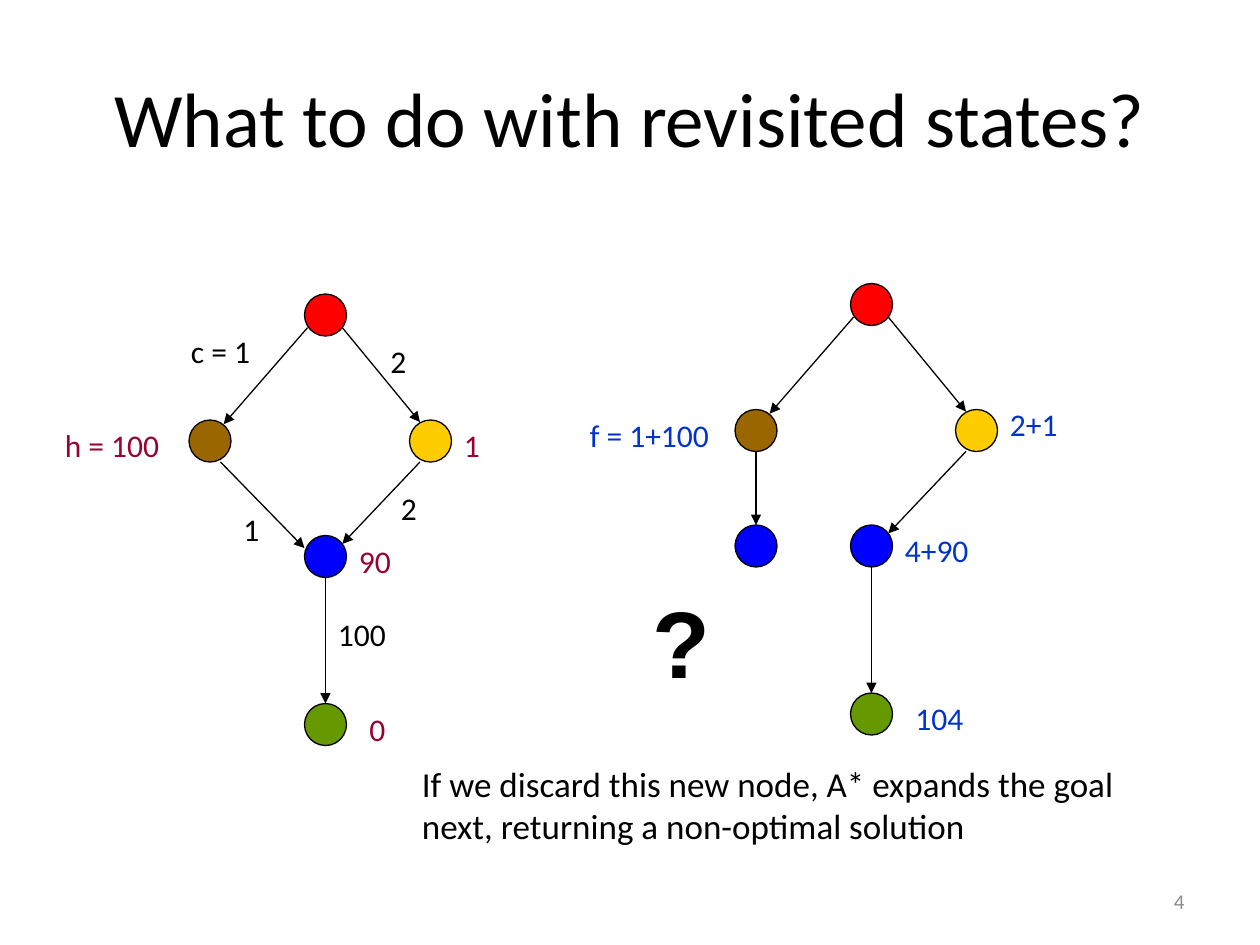
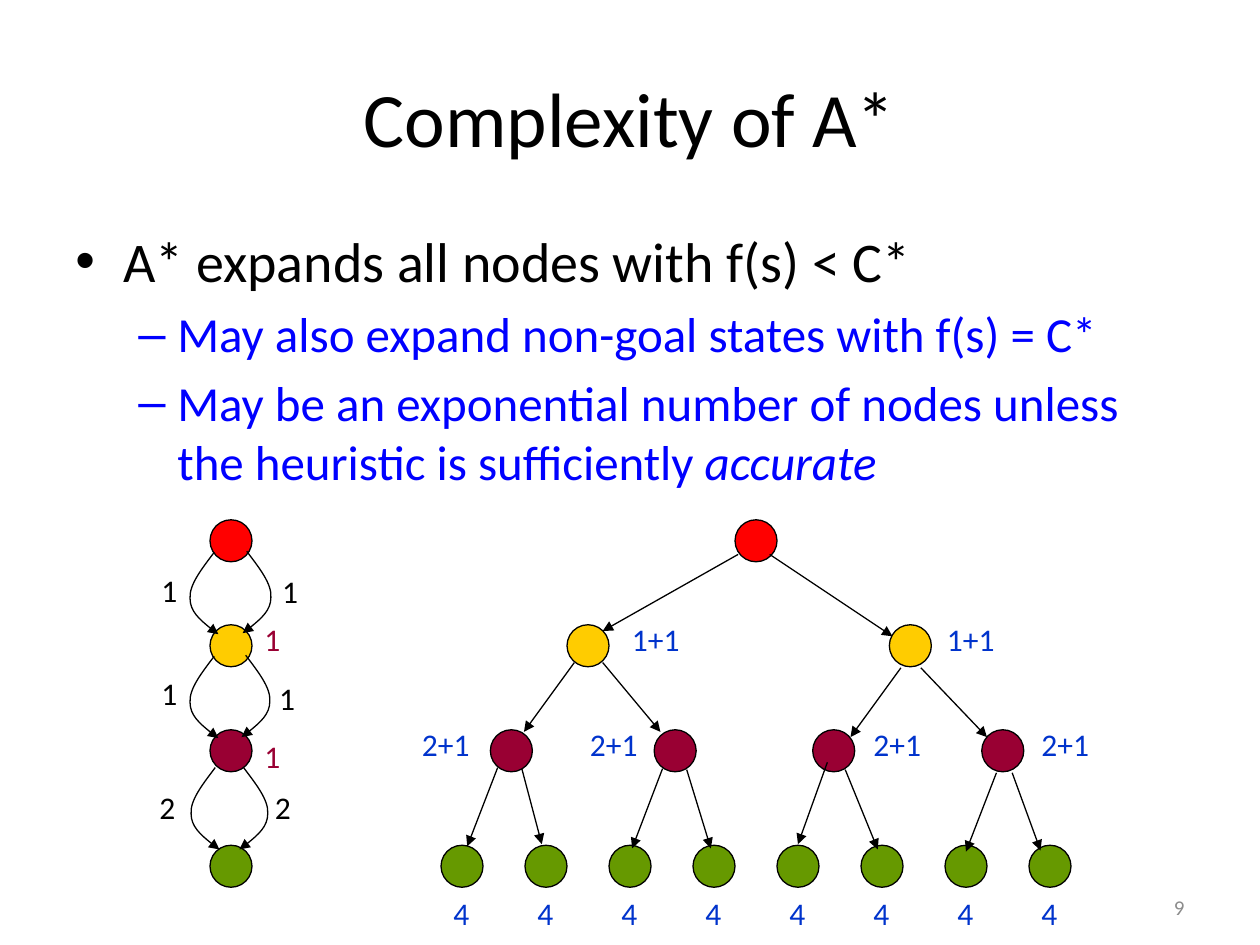
from dataclasses import dataclass

from lxml.etree import SubElement
from pptx import Presentation
from pptx.dml.color import RGBColor
from pptx.enum.shapes import MSO_CONNECTOR, MSO_SHAPE
from pptx.enum.text import MSO_ANCHOR, MSO_AUTO_SIZE, PP_ALIGN
from pptx.oxml.ns import qn
from pptx.util import Inches, Pt


@dataclass(frozen=True)
class Theme:
    font: str = "Calibri"
    mark: str = "Arial"
    ink: str = "000000"
    gray: str = "8C8C8C"
    red: str = "FF0000"
    brown: str = "996600"
    blue: str = "0000FF"
    gold: str = "FFCC00"
    green: str = "669900"
    wine: str = "990033"
    navy: str = "0033CC"
    title: int = 44
    body: int = 32
    sub: int = 28
    note: int = 20
    label: int = 18
    small: int = 12
    huge: int = 54
    line: float = 0.75


T = Theme()
CELL = Inches(1) // 12  # the slide is 120 columns by 90 rows
DOT = 4

deck = Presentation()
deck.slide_width, deck.slide_height = 120 * CELL, 90 * CELL


def write(slide, box, text, size, tint=T.ink, wrap=True, align=PP_ALIGN.LEFT,
          anchor=MSO_ANCHOR.TOP, font=T.font, bold=False):
    """Add a text box; box is left, top, width, height in cells."""
    frame = slide.shapes.add_textbox(*(int(v * CELL) for v in box)).text_frame
    frame.word_wrap = wrap
    frame.vertical_anchor = anchor
    if not wrap:
        frame.auto_size = MSO_AUTO_SIZE.SHAPE_TO_FIT_TEXT
    para = frame.paragraphs[0]
    para.alignment = align
    run = para.add_run()
    run.text = text
    run.font.name, run.font.size, run.font.bold = font, Pt(size), bold
    run.font.color.rgb = RGBColor.from_string(tint)


def tip(shape):
    """Give a line its thin black stroke and end arrow, without shadow."""
    shape.line.color.rgb = RGBColor.from_string(T.ink)
    shape.line.width = Pt(T.line)
    SubElement(shape.line._get_or_add_ln(), qn("a:tailEnd"), type="triangle")
    SubElement(shape._element.spPr, qn("a:effectLst"))


# Search graph on the left; the search tree repeats its top, moved by DX, DY
DX, DY = 52, -1
top = [(29, 28, T.red), (18, 40, T.brown), (39, 40, T.gold),
       (29, 51, T.blue), (29, 67, T.green)]
links = [(29.3, 31.2, 21.3, 40.4), (32.6, 31.2, 40, 40.2),
         (40, 44, 32.6, 51.8), (31, 55, 31, 67)]

revisit = dict(
    title="What to do with revisited states?", page="4", row=83.4,
    dots=top + [(x + DX, y + DY, c) for x, y, c in top] + [(70, 50, T.blue)],
    edges=links + [(a + DX, b + DY, c + DX, d + DY) for a, b, c, d in links]
    + [(21, 44, 29, 52.2), (72, 43, 72, 50)],
    labels=[
        (T.ink, [(17, 31, "c = 1"), (31, 58, "100"), (37, 46, "2"),
                 (22, 48, "1"), (36, 32, "2")]),
        (T.wine, [(5, 40, "h = 100"), (34, 67, "0"), (33, 51, "90"),
                  (43, 40, "1")]),
        (T.navy, [(86, 66, "104"), (85, 50, "4+90"), (55, 39, "f = 1+100"),
                  (95, 38, "2+1")]),
    ],
)

# Chain on the left and its full tree on the right, in four rows
ROWS = [49.5, 59.5, 69.5, 80.5]
levels = [(T.red, [20, 70]), (T.gold, [20, 54, 84.7]),
          (T.wine, [20, 46.7, 62.3, 77.4, 93.5]),
          (T.green, [20] + [42 + 8 * i for i in range(8)])]

growth = dict(
    title="Complexity of A*", page="9", row=84,
    dots=[(x, y, tint) for y, (tint, cols) in zip(ROWS, levels) for x in cols],
    edges=[
        (70.3, 52.8, 57.4, 60.1), (73.3, 52.8, 85, 60.6),
        (54.7, 63.1, 49.9, 69.7), (57.4, 63.1, 62.9, 69.7),
        (85.8, 63.6, 81, 70.2), (87.7, 63.6, 94, 70.2),
        (47.4, 73.1, 44.5, 80.6), (49.7, 73.2, 51.6, 80.4),
        (63.1, 73.2, 60.2, 80.8), (65.4, 73.3, 67.7, 80.8),
        (78.8, 72.6, 76, 80.4), (80.5, 73.3, 83.6, 80.9),
        (94.9, 73.6, 92, 81.1), (96.4, 73.6, 99.1, 81),
    ],
    labels=[
        (T.ink, [(25.7, 53.9, "1"), (25.4, 64.1, "1"), (25, 74.5, "2"),
                 (14.2, 53.8, "1"), (14.2, 63.6, "1"), (14, 74.5, "2")]),
        (T.wine, [(24, 58.5, "1"), (24, 69.6, "1")]),
        (T.navy, [(x, 58.5, "1+1") for x in (59, 89)]
         + [(x, 68.5, "2+1") for x in (39, 55, 82, 98)]
         + [(42 + 8 * i, 84.6, "4") for i in range(8)]),
    ],
)

for plan in (revisit, growth):
    slide = deck.slides.add_slide(deck.slide_layouts[6])
    write(slide, (6, 3.6, 108, 15), plan["title"], T.title,
          align=PP_ALIGN.CENTER, anchor=MSO_ANCHOR.MIDDLE)
    write(slide, (86, plan["row"], 28, 4.8), plan["page"], T.small, T.gray,
          align=PP_ALIGN.RIGHT, anchor=MSO_ANCHOR.MIDDLE)
    for x, y, tint in plan["dots"]:
        dot = slide.shapes.add_shape(
            MSO_SHAPE.OVAL, int(x * CELL), int(y * CELL), DOT * CELL, DOT * CELL)
        dot.shadow.inherit = False
        dot.fill.solid()
        dot.fill.fore_color.rgb = RGBColor.from_string(tint)
        dot.line.color.rgb = RGBColor.from_string(T.ink)
        dot.line.width = Pt(T.line)
    for edge in plan["edges"]:
        tip(slide.shapes.add_connector(
            MSO_CONNECTOR.STRAIGHT, *(int(v * CELL) for v in edge)))
    for tint, items in plan["labels"]:
        for x, y, text in items:
            wide = 2.4 + 1.52 * (len(text) - 0.55 * text.count(" "))
            write(slide, (x, y, wide, 4.8), text, T.label, tint, wrap=False)

first, last = deck.slides

# Open question under the repeated node
write(first, (61, 55, 7.9, 12), "?", T.huge, wrap=False, font=T.mark, bold=True)
write(first, (39, 72, 70, 9.2),
      "If we discard this new node, A* expands the goal next, "
      "returning a non-optimal solution", T.note)

# Bullets
frame = last.shapes.add_textbox(6 * CELL, 21 * CELL, 108 * CELL, 33 * CELL).text_frame
frame.word_wrap = True
points = [
    (0, ["A* expands all nodes with f(s) < C*"]),
    (1, ["May also expand non-goal states with f(s) = C*"]),
    (1, ["May be an exponential number of nodes unless the heuristic is sufficiently ",
         "accurate"]),
]
styles = [(T.body, T.ink, "•", 0.38, 0.38), (T.sub, T.blue, "–", 0.81, 0.31)]
for i, (level, parts) in enumerate(points):
    size, tint, sign, left, hang = styles[level]
    para = frame.add_paragraph() if i else frame.paragraphs[0]
    para.level = level
    para.space_before = Pt(0.2 * size)
    props = para._p.get_or_add_pPr()
    props.set("marL", str(Inches(left)))
    props.set("indent", str(-Inches(hang)))
    SubElement(props, qn("a:buFont"), typeface=T.mark)
    SubElement(props, qn("a:buChar"), char=sign)
    for text in parts:
        run = para.add_run()
        run.text = text
        run.font.name, run.font.size = T.font, Pt(size)
        run.font.italic = text == "accurate"
        run.font.color.rgb = RGBColor.from_string(tint)

# Paired curves down the chain: one bend, mirrored by side
bend = [(1.2, 1.6), (2.4, 3.1), (2.3, 4.4), (2.3, 5.6), (1, 6.8), (-0.4, 7.8)]
starts = [(-1, 20.4, 52.6), (-1, 20.4, 62.5), (-1, 20.5, 73.1),
          (1, 23.5, 52.5), (1, 23.4, 62.4), (1, 23.2, 73.1)]
for side, x, y in starts:
    pen = last.shapes.build_freeform(int(x * CELL), int(y * CELL))
    pen.add_line_segments(
        [(int((x + side * dx) * CELL), int((y + dy) * CELL)) for dx, dy in bend],
        close=False)
    curve = pen.convert_to_shape()
    curve.fill.background()
    tip(curve)
    # Each three straight steps become one Bezier step
    trace = next(curve._element.iter(qn("a:path")))
    steps = trace.findall(qn("a:lnTo"))
    for k in range(0, len(steps), 3):
        bezier = SubElement(trace, qn("a:cubicBezTo"))
        for step in steps[k:k + 3]:
            bezier.append(step[0])
            trace.remove(step)

deck.save("out.pptx")
